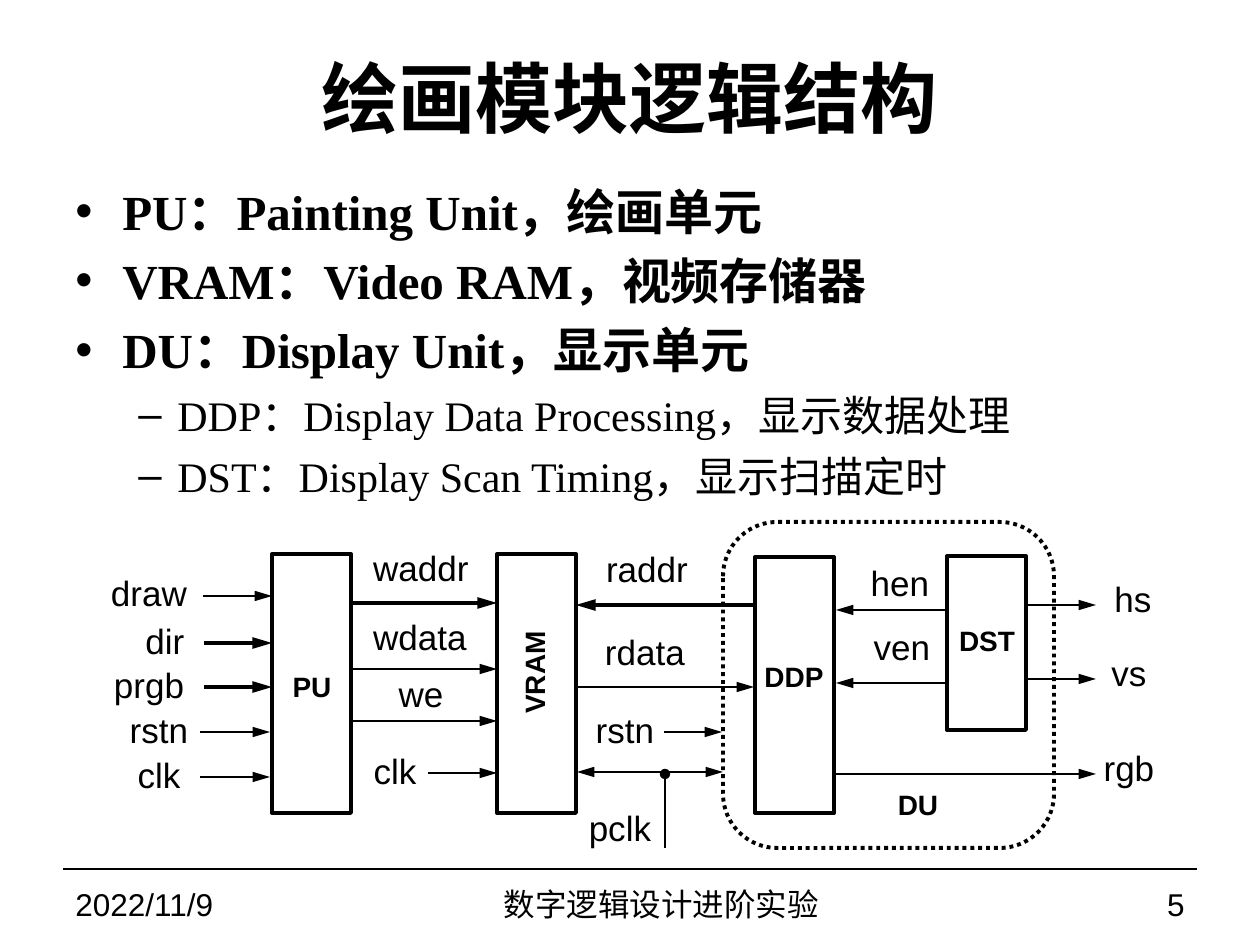
from lxml.etree import SubElement
from pptx import Presentation
from pptx.dml.color import RGBColor
from pptx.enum.dml import MSO_LINE
from pptx.enum.shapes import MSO_CONNECTOR, MSO_SHAPE
from pptx.enum.text import MSO_ANCHOR, PP_ALIGN
from pptx.oxml.ns import qn
from pptx.util import Pt

BLACK = RGBColor(0, 0, 0)
EMU_PER_PX = 914400 / 126
LEFT, CENTER, RIGHT = PP_ALIGN.LEFT, PP_ALIGN.CENTER, PP_ALIGN.RIGHT


def px(length):
    return round(length * EMU_PER_PX)


class LogicSlide:
    sans, serif = "Arial", "Times New Roman"
    signal_width, signal_height = 100, 53

    def __init__(self, width, height):
        self.deck = Presentation()
        self.deck.slide_width, self.deck.slide_height = px(width), px(height)
        self.slide = self.deck.slides.add_slide(self.deck.slide_layouts[6])

    def set_font(self, paragraph, size, name, bold=False):
        font = paragraph.font
        font.size, font.name, font.bold = Pt(size), name, bold
        font.color.rgb = BLACK

    def frame(self, x, y, w, h, anchor=MSO_ANCHOR.MIDDLE, wrap=True):
        box = self.slide.shapes.add_textbox(px(x), px(y), px(w), px(h))
        box.text_frame.word_wrap = wrap
        box.text_frame.vertical_anchor = anchor
        return box

    def text(self, words, x, y, w, h, size, align, name=sans, bold=False, wrap=True):
        box = self.frame(x, y, w, h, wrap=wrap)
        paragraph = box.text_frame.paragraphs[0]
        paragraph.text, paragraph.alignment = words, align
        self.set_font(paragraph, size, name, bold)
        return box

    def signal(self, words, center, top):
        left = center - self.signal_width // 2
        frame = self.text(words, left, top, self.signal_width, self.signal_height,
                          20, CENTER, wrap=False).text_frame
        frame.margin_left = frame.margin_right = 0
        frame.margin_top = frame.margin_bottom = 0

    def unit_name(self, words, x, y, w, rotation=0):
        box = self.text(words, x, y, w, 47, 16, CENTER, bold=True, wrap=False)
        box.rotation = rotation

    def bullets(self, items, x, y, w, h):
        levels = [("•", 47, 47, 28, True), ("–", 102, 39, 24, False)]
        frame = self.frame(x, y, w, h, MSO_ANCHOR.TOP).text_frame
        for index, (level, words) in enumerate(items):
            mark, margin, hanging, size, bold = levels[level]
            paragraph = frame.add_paragraph() if index else frame.paragraphs[0]
            paragraph.text, paragraph.level = words, level
            paragraph.space_after = Pt(6)
            properties = paragraph._p.get_or_add_pPr()
            properties.set("marL", str(px(margin)))
            properties.set("indent", str(-px(hanging)))
            SubElement(properties, qn("a:buFont"), typeface=self.sans)
            SubElement(properties, qn("a:buChar"), char=mark)
            self.set_font(paragraph, size, self.serif, bold)

    def outline(self, x, y, w, h, kind=MSO_SHAPE.RECTANGLE, dash=None):
        shape = self.slide.shapes.add_shape(kind, px(x), px(y), px(w), px(h))
        shape.shadow.inherit = False
        shape.fill.background()
        shape.line.color.rgb = BLACK
        shape.line.width = Pt(2.25)
        if dash:
            shape.line.dash_style = dash

    def line(self, x1, y1, x2, y2, weight=1.5, head=None, tail=None):
        wire = self.slide.shapes.add_connector(
            MSO_CONNECTOR.STRAIGHT, px(x1), px(y1), px(x2), px(y2))
        wire.line.color.rgb = BLACK
        wire.line.width = Pt(weight)
        stroke = wire.line._ln
        for end, kind in (("a:headEnd", head), ("a:tailEnd", tail)):
            if kind:
                length = "lg" if kind == "triangle" else "med"
                SubElement(stroke, qn(end), type=kind, w="med", len=length)
        SubElement(wire._element.spPr, qn("a:effectLst"))

    def arrow(self, x1, x2, y, weight=1.5, both=False):
        self.line(x1, y, x2, y, weight, "triangle" if both else None, "triangle")


def main():
    page = LogicSlide(1260, 945)

    # Title and explanations
    page.text("绘画模块逻辑结构", 63, 38, 1134, 117, 44, CENTER, page.serif, True)
    page.bullets([
        (0, "PU：Painting Unit，绘画单元"),
        (0, "VRAM：Video RAM，视频存储器"),
        (0, "DU：Display Unit，显示单元"),
        (1, "DDP：Display Data Processing，显示数据处理"),
        (1, "DST：Display Scan Timing，显示扫描定时"),
    ], 63, 175, 1100, 346)

    # Footer
    page.line(63, 869, 1197, 869, 0.75)
    page.text("2022/11/9", 63, 880, 294, 47, 18, LEFT)
    page.text("数字逻辑设计进阶实验", 357, 880, 608, 47, 18, CENTER)
    page.text("5", 976, 880, 221, 47, 18, RIGHT)

    # Units
    for x, y, height in [(272, 554, 259), (497, 554, 259), (755, 557, 256), (947, 556, 174)]:
        page.outline(x, y, 79, height)
    page.outline(723, 522, 331, 326, MSO_SHAPE.ROUNDED_RECTANGLE, MSO_LINE.ROUND_DOT)
    page.unit_name("PU", 280, 663, 64)
    page.unit_name("VRAM", 466, 649, 136, 270)
    page.unit_name("DDP", 752, 653, 84)
    page.unit_name("DST", 946, 617, 82)
    page.unit_name("DU", 885, 781, 66)

    # Wires: start, end, height, weight
    for wire in [
        (203, 272, 596, 1.5), (204, 272, 643, 2.25), (204, 272, 687, 2.25),
        (200, 270, 732, 1.5), (200, 270, 777, 1.5),
        (350, 497, 603, 2.25), (350, 497, 669, 1.5), (350, 497, 721, 1.5),
        (428, 497, 773, 1.5),
        (754, 576, 605, 2.25), (577, 754, 687, 1.5), (664, 722, 732, 1.5),
        (948, 836, 610, 1.5), (946, 836, 683, 1.5),
        (1027, 1096, 605, 1.5), (1027, 1096, 679, 1.5), (836, 1096, 774, 1.5),
    ]:
        page.arrow(*wire)
    page.arrow(577, 723, 772, both=True)
    page.line(665, 848, 665, 774, tail="oval")

    # Signals: name, centre, top
    for signal in [
        # Into PU
        ("draw", 149, 566), ("dir", 165, 614), ("prgb", 149, 658),
        ("rstn", 159, 703), ("clk", 159, 748),
        # Between PU and VRAM
        ("waddr", 421, 541), ("wdata", 420, 610), ("we", 421, 667), ("clk", 395, 744),
        # Between VRAM and DU
        ("raddr", 647, 542), ("rdata", 645, 625), ("rstn", 625, 703), ("pclk", 620, 801),
        # Inside and out of DU
        ("hen", 900, 556), ("ven", 902, 620),
        ("hs", 1133, 572), ("vs", 1129, 646), ("rgb", 1129, 741),
    ]:
        page.signal(*signal)

    page.deck.save("out.pptx")


if __name__ == "__main__":
    main()
